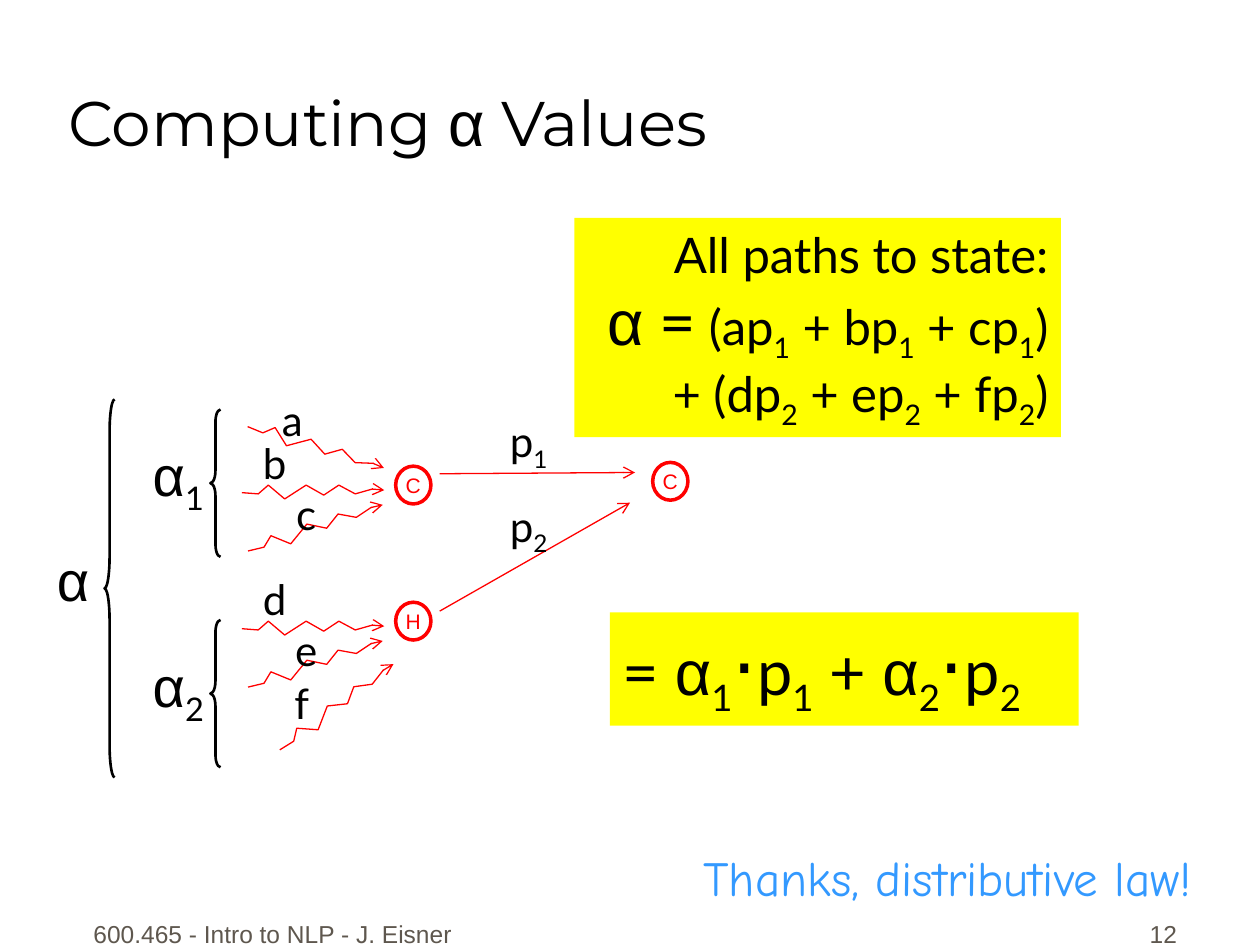
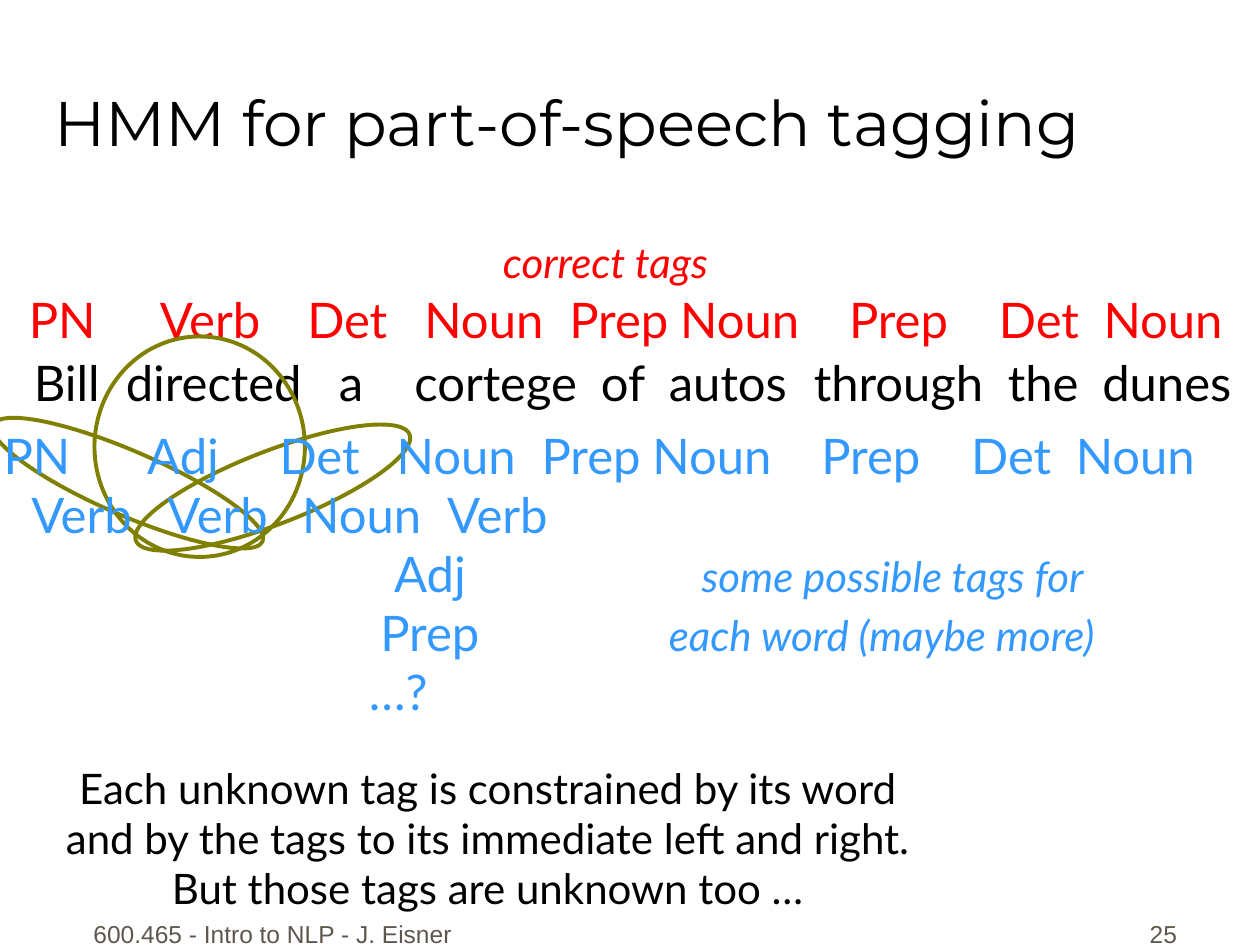
from dataclasses import dataclass

import lxml.etree
import pptx
import pptx.dml.color
import pptx.enum.shapes
import pptx.enum.text
import pptx.oxml.ns
import pptx.util

Inches, Pt = pptx.util.Inches, pptx.util.Pt
Align, Anchor = pptx.enum.text.PP_ALIGN, pptx.enum.text.MSO_ANCHOR
Preset = pptx.enum.shapes.MSO_SHAPE
qn = pptx.oxml.ns.qn


@dataclass(frozen=True)
class Theme:
    ink: str = "000000"
    red: str = "FF0000"
    blue: str = "3399FF"
    olive: str = "808000"
    yellow: str = "FFFF00"
    footer: str = "5E574E"
    body_font: str = "Lato"
    plain_font: str = "Arial"
    title_font: str = "Montserrat"
    note_font: str = "Comic Neue"
    tiny: int = 12
    small: int = 14
    label: int = 24
    body: int = 28
    symbol: int = 32
    large: int = 36
    dot: int = 44


THEME = Theme()
BODY = {"name": THEME.body_font, "size": THEME.body, "color": THEME.ink}
LABEL = BODY | {"size": THEME.label}
LARGE = BODY | {"size": THEME.large}
TITLE = LARGE | {"name": THEME.title_font}
GREEK = {"name": THEME.plain_font}
ALPHA = ("α", GREEK)
DOT = ("⋅", GREEK | {"size": THEME.dot})
ASIDE = {"size": THEME.label, "italic": True}

# Each zigzag runs from its arrowhead back to its tail.
ZIGZAG = [(1.13, .04), (1.04, .03), (.9, .07), (.77, 0), (.65, .08),
          (.51, 0), (.34, .11), (.21, 0), (.13, .07), (0, .06)]
# Offsets from the state circle: zigzag left and top, rotation, label box.
ROUTES = {
    "falling": (-1.2, -.2, 17.9, (-1.01, -.62, .38, .5)),
    "level": (-1.22, .15, 0, (-1.16, -.28, .4, .5)),
    "rising": (-1.2, .44, 342.1, (-.9, .13, .38, .5)),
    "steep": (-1.03, .78, 324, (-.9, .55, .31, .5)),
}


def rgb(value):
    return pptx.dml.color.RGBColor.from_string(value)


def inches(box):
    return [Inches(length) for length in box]


def shift(box, left, top):
    return (box[0] + left, box[1] + top, *box[2:])


def add_span(para, text, style, subscript=False):
    span = para.add_run()
    span.text = text
    values = style | {"size": Pt(style["size"])}
    span.font.color.rgb = rgb(values.pop("color"))
    for name, value in values.items():
        setattr(span.font, name, value)
    if subscript:
        span.font._element.set("baseline", "-25000")


def write(para, pieces, style):
    """Write strings or (string, changes) pairs; _ lowers the next character."""
    for piece in [pieces] if isinstance(pieces, str) else pieces:
        text, changes = (piece, {}) if isinstance(piece, str) else piece
        if text == "\n":
            para.add_line_break()
            continue
        first, *others = text.split("_")
        if first:
            add_span(para, first, style | changes)
        for other in others:
            add_span(para, other[0], style | changes, subscript=True)
            if other[1:]:
                add_span(para, other[1:], style | changes)


def fill_frame(frame, lines, style, align=Align.CENTER, wrap=False,
               anchor=Anchor.TOP):
    margins = {"margin_left": .1, "margin_top": .05,
               "margin_right": .1, "margin_bottom": .05}
    for name, value in margins.items():
        setattr(frame, name, Inches(value))
    frame.auto_size = pptx.enum.text.MSO_AUTO_SIZE.NONE
    frame.word_wrap, frame.vertical_anchor = wrap, anchor
    for index, line in enumerate(lines):
        para = frame.add_paragraph() if index else frame.paragraphs[0]
        para.alignment = align
        write(para, line, style)


def add_text(page, box, lines, style, **layout):
    shape = page.shapes.add_textbox(*inches(box))
    fill_frame(shape.text_frame, lines, style, **layout)
    return shape


def set_tabs(para, positions):
    tabs = lxml.etree.SubElement(para._p.get_or_add_pPr(), qn("a:tabLst"))
    for position in positions:
        lxml.etree.SubElement(tabs, qn("a:tab"),
                              pos=str(Inches(position)), algn="l")


def add_columns(page, box, rows, style):
    """Rows hold (x on the slide, word) pairs, set on tab stops."""
    lines = [[("\t" + cell[1], *cell[2:]) if cell[2:] else "\t" + cell[1]
              for cell in row] for row in rows]
    shape = add_text(page, box, lines, style, align=Align.LEFT, wrap=True)
    origin = box[0] + .1
    for para, row in zip(shape.text_frame.paragraphs, rows):
        set_tabs(para, [cell[0] - origin for cell in row])


def add_preset(page, preset, box, line=None, width=1.0, fill=None):
    shape = page.shapes.add_shape(preset, *inches(box))
    shape.shadow.inherit = False
    if fill:
        shape.fill.solid()
        shape.fill.fore_color.rgb = rgb(fill)
    else:
        shape.fill.background()
    if line:
        shape.line.color.rgb = rgb(line)
        shape.line.width = Pt(width)
    else:
        shape.line.fill.background()
    return shape


def style_arrow(shape, end):
    shape.line.color.rgb = rgb(THEME.red)
    shape.line.width = Pt(.75)
    lxml.etree.SubElement(shape.line._get_or_add_ln(), qn(end), type="arrow")
    lxml.etree.SubElement(shape._element.spPr, qn("a:effectLst"))


def add_arrow(page, start, end):
    arrow = page.shapes.add_connector(
        pptx.enum.shapes.MSO_CONNECTOR.STRAIGHT, *inches(start + end))
    style_arrow(arrow, "a:tailEnd")


def add_zigzag(page, left, top, rotation):
    points = [(Inches(left + x), Inches(top + y)) for x, y in ZIGZAG]
    builder = page.shapes.build_freeform(*points[0])
    builder.add_line_segments(points[1:], close=False)
    shape = builder.convert_to_shape()
    shape.fill.background()
    style_arrow(shape, "a:headEnd")
    shape.rotation = rotation


def add_state(page, left, top, name):
    circle = add_preset(page, Preset.OVAL, (left, top, .28, .3), THEME.red, 2)
    style = {"name": THEME.plain_font, "size": THEME.tiny, "color": THEME.red}
    fill_frame(circle.text_frame, [name], style, anchor=Anchor.MIDDLE)


def add_incoming_paths(page, left, top, state, routes):
    """Draw a state and the labelled zigzag paths that lead into it."""
    add_state(page, left, top, state)
    for label, route in routes.items():
        dx, dy, rotation, label_box = ROUTES[route]
        add_zigzag(page, left + dx, top + dy, rotation)
        add_text(page, shift(label_box, left, top), [label], LABEL)


def add_brace(page, box, pieces, label_box):
    """Draw a brace, with its label placed relative to the brace."""
    left, top, width, height = box
    brace = add_preset(page, Preset.LEFT_BRACE, box, THEME.ink, 1.5)
    brace.adjustments[0] = height / 12 / width
    add_text(page, shift(label_box, left, top), [pieces],
             BODY | {"size": THEME.symbol})


def add_formula(page, box, lines, style, align):
    panel = add_preset(page, Preset.RECTANGLE, box, fill=THEME.yellow)
    fill_frame(panel.text_frame, lines, style, align)


def add_page(deck, title, title_box, number):
    page = deck.slides.add_slide(deck.slide_layouts[5])
    heading = page.shapes.title
    heading.left, heading.top, heading.width, heading.height = inches(title_box)
    fill_frame(heading.text_frame, [title], TITLE, Align.LEFT, True,
               Anchor.BOTTOM)
    style = {"name": THEME.plain_font, "size": THEME.small,
             "color": THEME.footer}
    for left, width, text, align in (
            (.58, 3.17, "600.465 - Intro to NLP - J. Eisner", Align.CENTER),
            (7.36, 2.08, str(number), Align.RIGHT)):
        footer = add_text(page, (left, 7.08, width, .5), [text], style,
                          align=align, wrap=True, anchor=Anchor.BOTTOM)
        footer.text_frame.paragraphs[0].space_before = Pt(8.8)
    return page


def build_alpha_page(deck):
    page = add_page(deck, ["Computing ", ALPHA, " Values"],
                    (.44, .06, 9.31, 1.25), 12)
    add_state(page, 5.18, 3.67, "C")
    add_incoming_paths(page, 3.14, 3.7, "C",
                       {"a": "falling", "b": "level", "c": "rising"})
    add_incoming_paths(page, 3.14, 4.78, "H",
                       {"d": "level", "e": "rising", "f": "steep"})
    add_arrow(page, (3.49, 3.76), (5.04, 3.75))
    add_arrow(page, (3.49, 4.85), (5, 3.99))
    for top, label in ((3.25, "p_1"), (3.92, "p_2")):
        add_text(page, (3.94, top, .51, .56), [label], LABEL)

    add_brace(page, (.83, 3.17, .08, 3), [ALPHA], (-.49, 1.11, .48, .64))
    for top, index in ((3.25, "_1"), (4.92, "_2")):
        add_brace(page, (1.67, top, .08, 1.17), [ALPHA, index],
                  (-.57, .2, .63, .71))

    large = {"size": THEME.large}
    all_paths = [ALPHA[0], GREEK | large], (" =", large), \
        " (ap_1 + bp_1 + cp_1)", "\n", "+ (dp_2 + ep_2 + fp_2)"
    add_formula(page, (4.56, 1.73, 3.86, 1.74),
                ["All paths to state:", all_paths], BODY, Align.RIGHT)
    add_formula(page, (4.84, 4.86, 3.72, .9),
                [["= ", ALPHA, "_1", DOT, "p_1 + ", ALPHA, "_2", DOT, "p_2"]],
                LARGE, Align.LEFT)
    add_text(page, (5.48, 6.68, 4.08, .57), ["Thanks, distributive law!"],
             BODY | {"name": THEME.note_font, "color": THEME.blue})


def add_possible_tags(page, box, columns):
    rows = [
        list(zip(columns, ["PN", "Adj", "Det", "Noun", "Prep", "Noun",
                           "Prep", "Det", "Noun"])),
        [(.25, "Verb"), (1.33, "Verb"), (2.4, "Noun"), (3.55, "Verb")],
        [(3.13, "Adj"), (5.57, "some possible tags for", ASIDE)],
        [(3.02, "Prep"), (5.31, "each word (maybe more)", ASIDE)],
        [(2.93, "…?")],
    ]
    add_columns(page, box, rows, BODY | {"color": THEME.blue})


def build_tagging_page(deck):
    page = add_page(deck, "HMM for part-of-speech tagging",
                    (.33, .06, 9.67, 1.25), 25)
    sentence = zip([.27, 1, 2.69, 3.29, 4.77, 5.31, 6.46, 8, 8.75],
                   "Bill directed a cortege of autos through the dunes".split())
    add_columns(page, (-.16, 2.75, 10.39, .57), [list(sentence)], BODY)

    red = {"color": THEME.red}
    tag_columns = [.23, 1.27, 2.44, 3.37, 4.52, 5.4, 6.74, 7.93, 8.76]
    tags = zip(tag_columns, "PN Verb Det Noun Prep Noun Prep Det Noun".split())
    add_columns(page, (-.08, 2.25, 10.12, .57), [list(tags)], BODY | red)
    add_text(page, (3.83, 1.83, 1.95, .5), ["correct tags"],
             BODY | ASIDE | red)
    add_text(page, (.14, 6, 7.46, 1.3),
             ["Each unknown tag is constrained by its word",
              "and by the tags to its immediate left and right.",
              "But those tags are unknown too …"], LABEL)

    for box, rotation in (((.75, 2.67, 1.67, 1.75), 0),
                          ((-.15, 3.58, 2.33, .51), 23.4),
                          ((1, 3.58, 2.33, .58), 338.8)):
        ring = add_preset(page, Preset.OVAL, box, THEME.olive, 2.25)
        ring.rotation = rotation
    possible_columns = [x - .22 for x in tag_columns]
    possible_columns[:2] = [.03, 1.17]
    add_possible_tags(page, (-.1, 3.33, 10.12, 2.44), possible_columns)


def main():
    deck = pptx.Presentation()
    deck.slide_width, deck.slide_height = Inches(10), Inches(7.5)
    build_alpha_page(deck)
    build_tagging_page(deck)
    deck.save("out.pptx")


if __name__ == "__main__":
    main()
